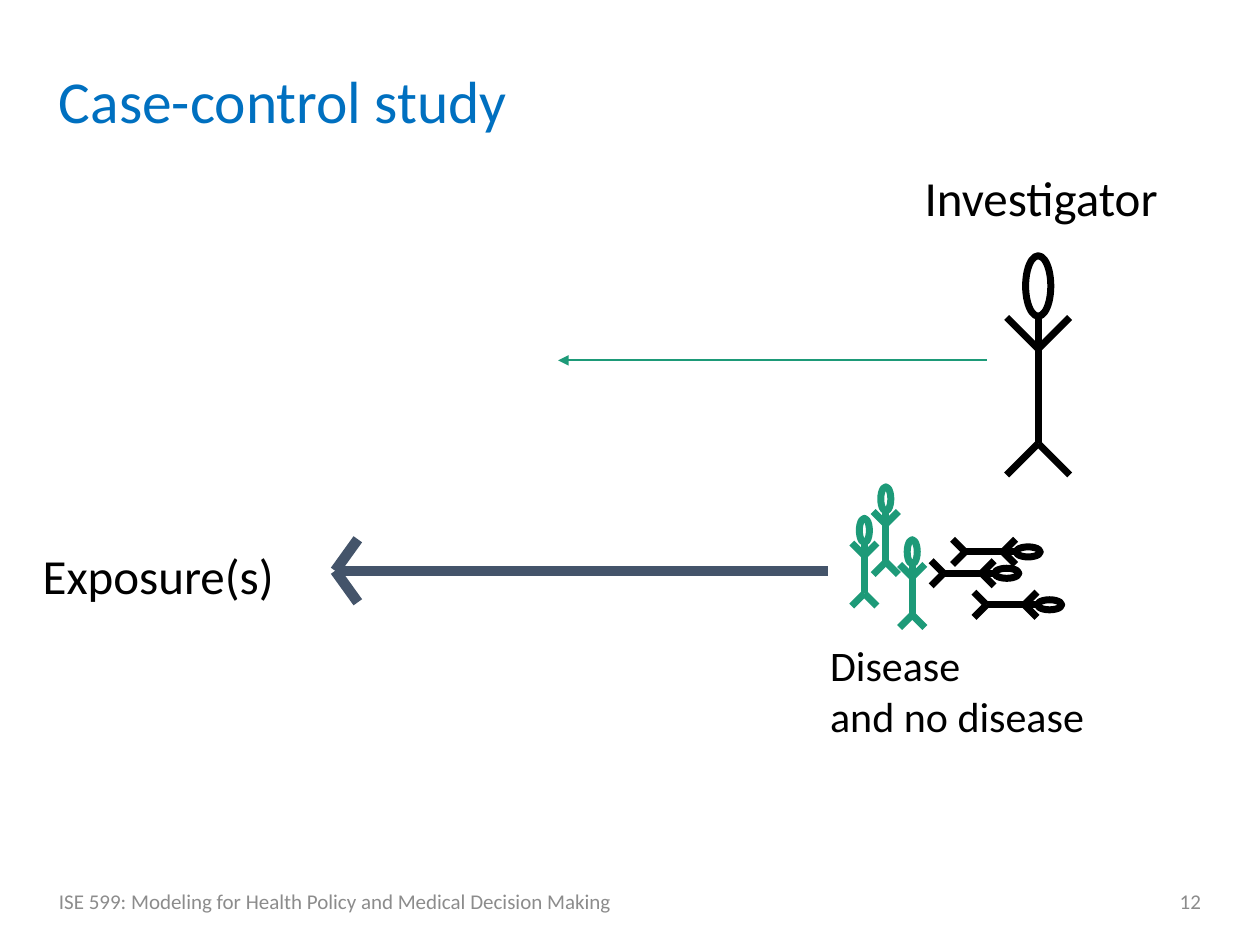
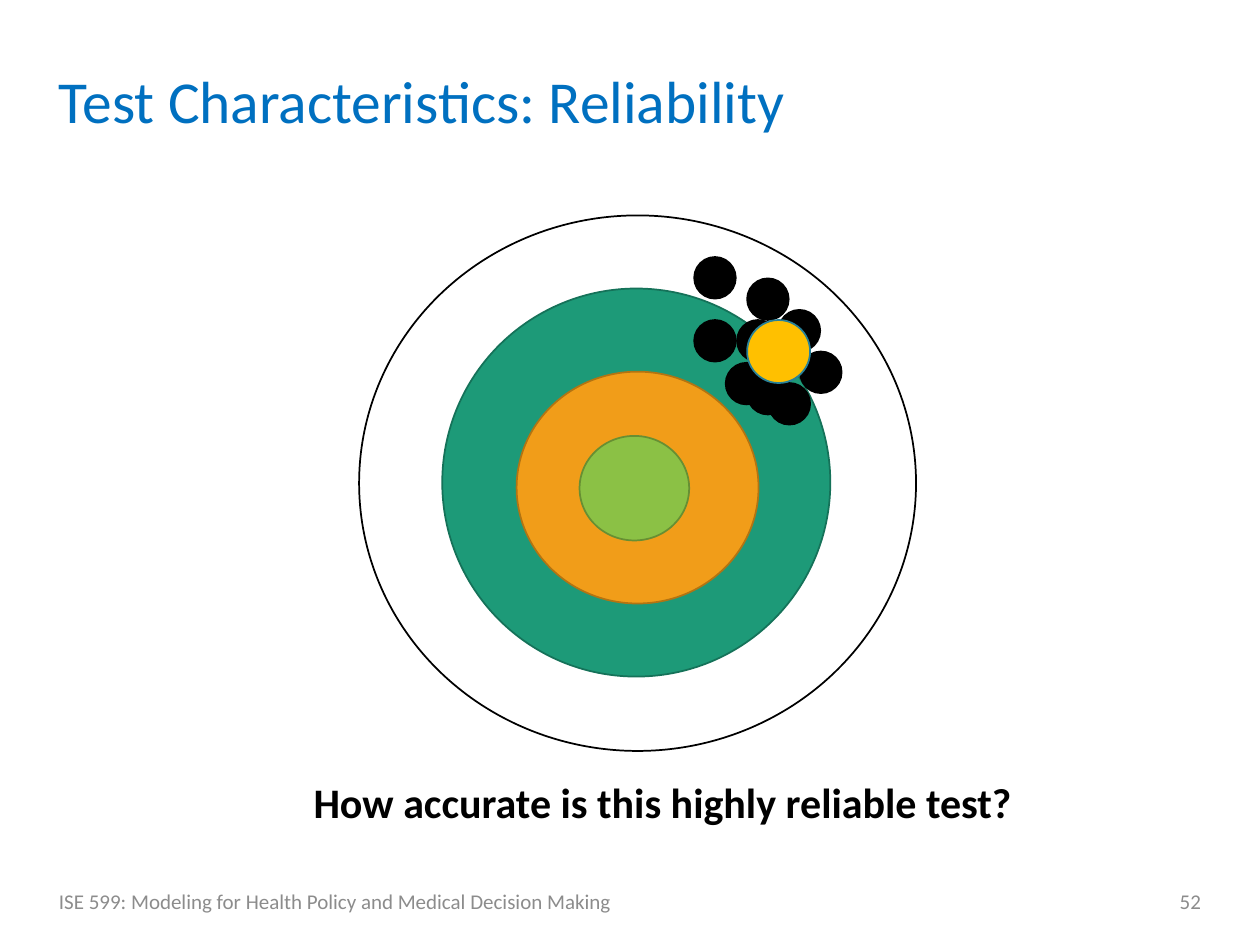
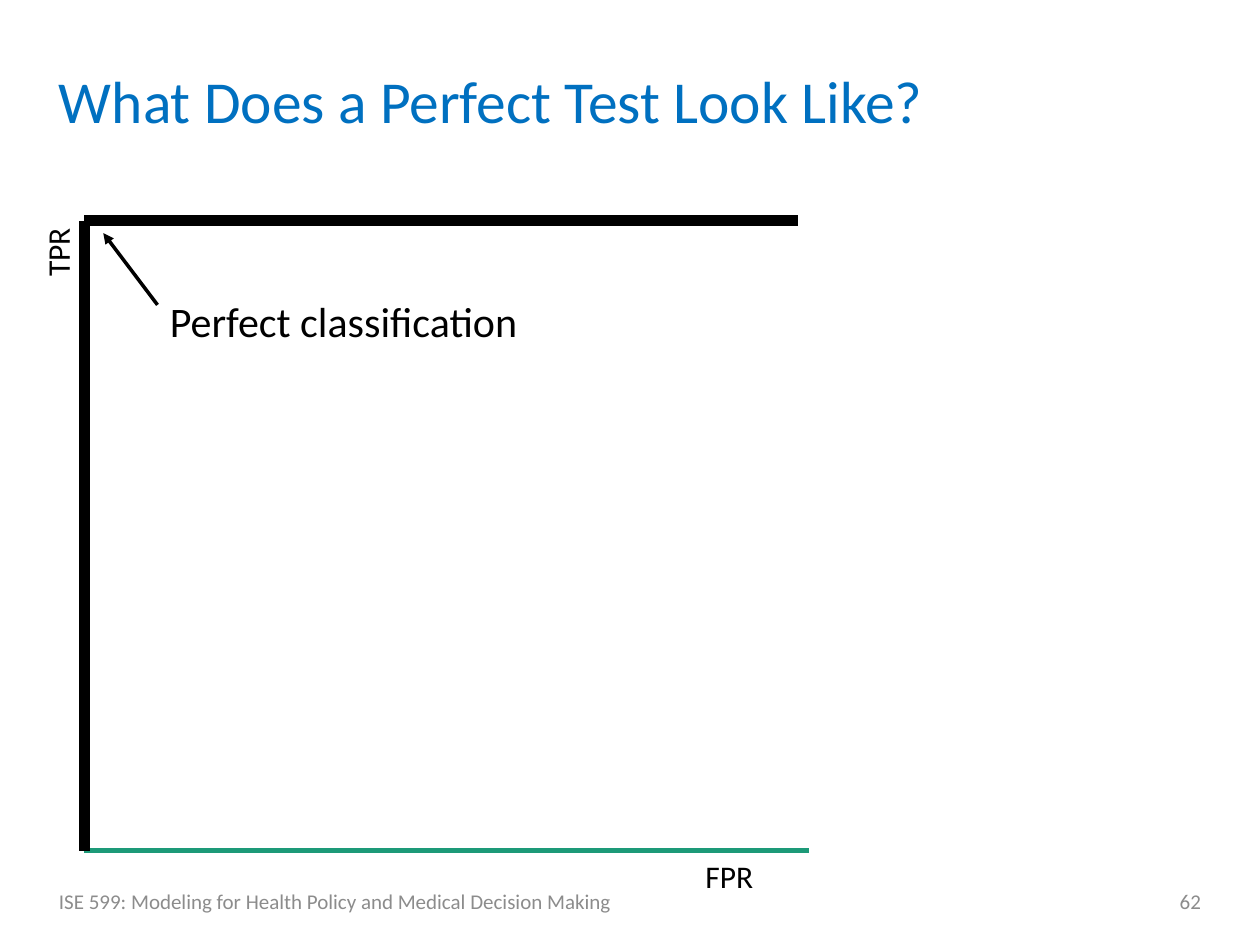
from dataclasses import dataclass

from lxml import etree
from pptx import Presentation
from pptx.dml.color import RGBColor
from pptx.enum.shapes import MSO_CONNECTOR, MSO_SHAPE
from pptx.enum.text import MSO_ANCHOR, MSO_AUTO_SIZE, PP_ALIGN
from pptx.oxml.ns import qn
from pptx.slide import Slide
from pptx.util import Inches, Pt

STRAIGHT = MSO_CONNECTOR.STRAIGHT
ELLIPSE = MSO_SHAPE.OVAL
TOP, MIDDLE = MSO_ANCHOR.TOP, MSO_ANCHOR.MIDDLE
LEFT, RIGHT = PP_ALIGN.LEFT, PP_ALIGN.RIGHT
GROW, FIXED = MSO_AUTO_SIZE.SHAPE_TO_FIT_TEXT, MSO_AUTO_SIZE.NONE

BLACK = RGBColor(0x00, 0x00, 0x00)
WHITE = RGBColor(0xFF, 0xFF, 0xFF)
TITLE_BLUE = RGBColor(0x00, 0x70, 0xC0)
FOOTER_GRAY = RGBColor(0x8C, 0x8C, 0x8C)
SLATE = RGBColor(0x44, 0x54, 0x6A)
GREEN = RGBColor(0x1D, 0x9A, 0x78)
DARK_GREEN = RGBColor(0x15, 0x72, 0x59)
ORANGE = RGBColor(0xF1, 0x9D, 0x19)
DARK_ORANGE = RGBColor(0xB2, 0x74, 0x12)
LIME = RGBColor(0x8B, 0xC1, 0x45)
DARK_LIME = RGBColor(0x67, 0x8F, 0x33)
GOLD = RGBColor(0xFF, 0xC0, 0x00)
TEAL = RGBColor(0x28, 0x81, 0x98)

FONT = "Calibri"
COURSE = "ISE 599: Modeling for Health Policy and Medical Decision Making"

Point = tuple[float, float]


@dataclass
class Label:
    text: str
    left: float
    top: float
    width: float
    height: float
    size: int
    color: RGBColor = BLACK
    bold: bool = False
    align: PP_ALIGN = LEFT
    anchor: MSO_ANCHOR = TOP
    wrap: bool = False
    auto_size: MSO_AUTO_SIZE = GROW
    spacing: float = 1.0
    rotation: int = 0


@dataclass
class Line:
    start: Point
    end: Point
    color: RGBColor
    width: int
    arrow: bool = False


@dataclass
class Ellipse:
    left: float
    top: float
    width: float
    height: float
    fill: RGBColor
    outline: RGBColor
    line_width: int = 1
    rotation: int = 0


@dataclass
class Figure:
    """A stick figure measured in units from the centre of its head."""
    x: float
    y: float
    unit: float
    color: RGBColor
    lying: bool = False


def add_label(slide: Slide, label: Label) -> None:
    shape = slide.shapes.add_textbox(Inches(label.left), Inches(label.top),
                                     Inches(label.width), Inches(label.height))
    shape.rotation = label.rotation
    frame = shape.text_frame
    frame.text = label.text
    frame_format = {"word_wrap": label.wrap, "auto_size": label.auto_size,
                    "vertical_anchor": label.anchor}
    for name, value in frame_format.items():
        setattr(frame, name, value)
    font_format = {"name": FONT, "size": Pt(label.size), "bold": label.bold}
    for paragraph in frame.paragraphs:
        paragraph.alignment = label.align
        paragraph.line_spacing = label.spacing
        for run in paragraph.runs:
            for name, value in font_format.items():
                setattr(run.font, name, value)
            run.font.color.rgb = label.color


def add_line(slide: Slide, line: Line) -> None:
    connector = slide.shapes.add_connector(
        STRAIGHT, *(Inches(value) for value in (*line.start, *line.end)))
    connector.line.color.rgb = line.color
    connector.line.width = Pt(line.width)
    if line.arrow:
        etree.SubElement(connector.line._get_or_add_ln(), qn("a:tailEnd"), type="triangle")
    etree.SubElement(connector._element.spPr, qn("a:effectLst"))


def add_ellipse(slide: Slide, ellipse: Ellipse) -> None:
    shape = slide.shapes.add_shape(ELLIPSE, Inches(ellipse.left), Inches(ellipse.top),
                                   Inches(ellipse.width), Inches(ellipse.height))
    shape.shadow.inherit = False
    shape.rotation = ellipse.rotation
    shape.fill.solid()
    shape.fill.fore_color.rgb = ellipse.fill
    shape.line.color.rgb = ellipse.outline
    shape.line.width = Pt(ellipse.line_width)


def add_figure(slide: Slide, figure: Figure) -> None:
    def place(across: float, along: float) -> Point:
        across, along = across * figure.unit, along * figure.unit
        if figure.lying:
            return figure.x - along, figure.y + across
        return figure.x + across, figure.y + along

    head, shoulder, hip = (0, 0), (0, 2), (0, 5)
    limbs = [(head, hip), (shoulder, (1, 1)), ((-1, 1), shoulder),
             (hip, (-1, 6)), (hip, (1, 6))]
    for start, end in limbs:
        add_line(slide, Line(place(*start), place(*end), figure.color, 4))
    width, height = 0.8 * figure.unit, 1.92 * figure.unit
    add_ellipse(slide, Ellipse(figure.x - width / 2, figure.y - height / 2, width, height,
                               WHITE, figure.color, 4, 90 if figure.lying else 0))


def add_base_slide(presentation: Presentation, title: str, number: int) -> Slide:
    """Add a blank slide with the shared title and footer."""
    slide = presentation.slides.add_slide(presentation.slide_layouts[6])
    shared = {"anchor": MIDDLE, "wrap": True, "auto_size": FIXED}
    add_label(slide, Label(title, 0.37, 0.4, 9.26, 0.85, 34, TITLE_BLUE,
                           spacing=0.9, **shared))
    add_label(slide, Label(COURSE, 0.37, 6.95, 5.67, 0.4, 12, FOOTER_GRAY, **shared))
    add_label(slide, Label(str(number), 7.21, 6.95, 2.42, 0.4, 12, FOOTER_GRAY,
                           align=RIGHT, **shared))
    return slide


def build_case_control(presentation: Presentation) -> None:
    slide = add_base_slide(presentation, "Case-control study", 12)
    for label in (Label("Exposure(s)", 0.24, 4.28, 2.05, 0.57, 28),
                  Label("Investigator", 7.24, 1.28, 2.07, 0.57, 28),
                  Label("Disease\nand no disease", 6.49, 5.03, 2.23, 0.91, 24)):
        add_label(slide, label)

    # Investigator, then people without and with the disease
    add_figure(slide, Figure(8.24, 2.27, 0.25, BLACK))
    for x, y in ((7.24, 4.38), (6.86, 4.21), (7.03, 3.96)):
        add_figure(slide, Figure(x, y, 0.1, GREEN))
    for x, y in ((8.16, 4.38), (7.99, 4.55), (8.33, 4.8)):
        add_figure(slide, Figure(x, y, 0.1, BLACK, lying=True))

    # Arrows looking back to the exposure
    tip = (2.66, 4.53)
    for start in ((6.57, 4.53), (2.84, 4.28), (2.84, 4.78)):
        add_line(slide, Line(start, tip, SLATE, 6))
    add_line(slide, Line((7.83, 2.86), (4.43, 2.86), GREEN, 1, arrow=True))


def build_reliability(presentation: Presentation) -> None:
    slide = add_base_slide(presentation, "Test Characteristics: Reliability", 52)

    # Target rings
    for ring in (Ellipse(2.85, 1.71, 4.42, 4.25, WHITE, BLACK),
                 Ellipse(3.51, 2.29, 3.08, 3.08, GREEN, DARK_GREEN),
                 Ellipse(4.1, 2.95, 1.92, 1.84, ORANGE, DARK_ORANGE),
                 Ellipse(4.6, 3.46, 0.87, 0.83, LIME, DARK_LIME)):
        add_ellipse(slide, ring)
    add_label(slide, Label("How accurate is this highly reliable test?",
                           2.39, 6.11, 5.8, 0.5, 24, bold=True))

    # Hits and their centre
    hits = [(5.85, 2.54), (6.01, 2.71), (6.18, 2.46), (5.76, 2.88), (6.1, 3.04),
            (6.35, 2.79), (5.93, 2.21), (5.93, 2.96), (5.51, 2.54), (5.51, 2.04)]
    for left, top in hits:
        add_ellipse(slide, Ellipse(left, top, 0.33, 0.33, BLACK, BLACK))
    add_ellipse(slide, Ellipse(5.93, 2.54, 0.5, 0.5, GOLD, TEAL))


def build_perfect_test(presentation: Presentation) -> None:
    slide = add_base_slide(presentation, "What Does a Perfect Test Look Like?", 62)
    origin, corner = (0.67, 6.75), (0.67, 1.75)

    # Axes
    add_line(slide, Line(corner, origin, GREEN, 3))
    add_line(slide, Line(origin, (6.42, 6.75), GREEN, 3))
    add_label(slide, Label("TPR", 0.16, 1.8, 0.59, 0.4, 18, rotation=270))
    add_label(slide, Label("FPR", 5.5, 6.75, 0.58, 0.4, 18))

    # Curve of the perfect test
    add_line(slide, Line(origin, corner, BLACK, 6))
    add_line(slide, Line(corner, (6.33, 1.75), BLACK, 6))
    add_label(slide, Label("Perfect classification", 1.25, 2.3, 3.12, 0.5, 24, wrap=True))
    add_line(slide, Line((1.25, 2.42), (0.82, 1.85), BLACK, 2, arrow=True))


def main() -> None:
    presentation = Presentation()
    presentation.slide_width = Inches(10)
    presentation.slide_height = Inches(7.5)
    build_case_control(presentation)
    build_reliability(presentation)
    build_perfect_test(presentation)
    presentation.save("out.pptx")


if __name__ == "__main__":
    main()
